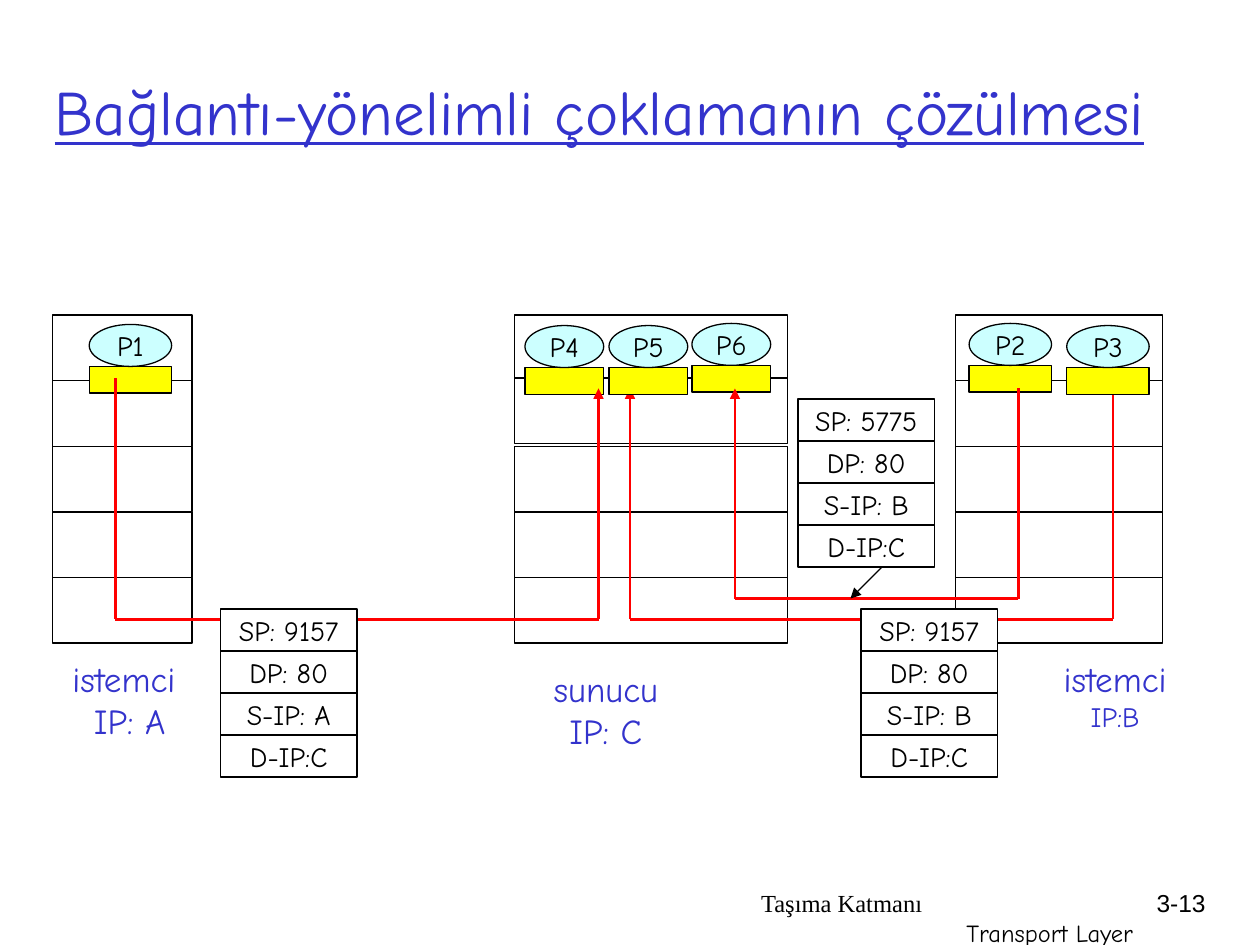
from itertools import pairwise

from pptx import Presentation
from pptx import util as u
from pptx.dml.color import RGBColor
from pptx.enum import shapes, text
from pptx.oxml import parse_xml
from pptx.oxml.ns import nsdecls

COLORS = {"ink": "000000", "title": "3333CC", "paper": "FFFFFF",
          "socket": "FFFF00", "process": "CCFFFF", "flow": "FF0000"}
BODY_FONT = "Comic Neue"
COLUMNS, ROWS = 120, 90
LAYER_ROWS, CELL_ROWS, CELL_COLUMNS = 6.25, 4, 13
LABEL_COLUMNS, LABEL_ROWS = 15, 9.2
ALIGN = text.PP_ALIGN
SHAPE = shapes.MSO_SHAPE


def grid(cells):
    """Convert grid cells, twelve to the inch, to a length."""
    return u.Inches(cells / 12)


def rgb(name):
    """Return a palette colour."""
    return RGBColor.from_string(COLORS[name])


def write(paragraph, words, size, color="ink", font=BODY_FONT, align=ALIGN.CENTER):
    """Add one formatted run to a paragraph."""
    paragraph.alignment = align
    run = paragraph.add_run()
    run.text = words
    run.font.size = u.Pt(size)
    run.font.name = font
    run.font.color.rgb = rgb(color)
    return run


def add_box(slide, kind, box, fill, words=None):
    """Add a thinly outlined shape with an optional centred label."""
    shape = slide.shapes.add_shape(kind, *map(grid, box))
    shape.shadow.inherit = False
    shape.fill.solid()
    shape.fill.fore_color.rgb = rgb(fill)
    shape.line.color.rgb = rgb("ink")
    shape.line.width = u.Pt(0.75)
    if words:
        frame = shape.text_frame
        frame.word_wrap = False
        frame.vertical_anchor = text.MSO_ANCHOR.MIDDLE
        write(frame.paragraphs[0], words, 16)


def add_text(slide, box, lines):
    """Add a text box whose lines are keyword sets for write."""
    frame = slide.shapes.add_textbox(*map(grid, box)).text_frame
    frame.word_wrap = True
    for index, line in enumerate(lines):
        paragraph = frame.add_paragraph() if index else frame.paragraphs[0]
        write(paragraph, **line)


def add_line(slide, start, end, color, width, arrow=False):
    """Draw a straight line, with an arrowhead at its end if asked."""
    line = slide.shapes.add_connector(
        shapes.MSO_CONNECTOR.STRAIGHT, *map(grid, (*start, *end)))
    line.line.color.rgb = rgb(color)
    line.line.width = u.Pt(width)
    if arrow:
        line.line._get_or_add_ln().append(
            parse_xml(f'<a:tailEnd {nsdecls("a")} type="triangle"/>'))
    line._element.spPr.append(parse_xml(f'<a:effectLst {nsdecls("a")}/>'))


def add_title(slide, box, words):
    """Place and format the title placeholder."""
    title = slide.shapes.title
    title.left, title.top, title.width, title.height = map(grid, box)
    title.text_frame.word_wrap = True
    title.text_frame.vertical_anchor = text.MSO_ANCHOR.MIDDLE
    run = write(title.text_frame.paragraphs[0], words, 36, "title", align=ALIGN.LEFT)
    run.font.underline = True


def add_host(slide, left, top, width, layer_tops=(0, 1, 2, 3, 4)):
    """Stack the five protocol layers of a host."""
    for layer in layer_tops:
        add_box(slide, SHAPE.RECTANGLE,
                (left, top + layer * LAYER_ROWS, width, LAYER_ROWS), "paper")


def add_host_label(slide, center, top, role, address, address_size=20):
    """Name a host and its address around a centre column."""
    add_text(slide, (center - LABEL_COLUMNS / 2, top, LABEL_COLUMNS, LABEL_ROWS),
             [dict(words=role, size=20, color="title"),
              dict(words=address, size=address_size, color="title")])


def add_process(slide, left, top, width, name):
    """Draw a process with its socket below."""
    add_box(slide, SHAPE.RECTANGLE, (left, top + 4, width, 2.55), "socket")
    add_box(slide, SHAPE.OVAL, (left, top, width, 4), "process", name)


def add_flow(slide, client, server, depth, top=36):
    """Route a connection down from a client, across and up to the server."""
    corners = [(client, top), (client, depth), (server, depth), (server, 37)]
    for start, end in pairwise(corners):
        add_line(slide, start, end, "flow", 1.5, arrow=end == corners[-1])


def add_packet(slide, left, top, fields):
    """Stack the header fields of a packet."""
    for index, field in enumerate(fields):
        add_box(slide, SHAPE.RECTANGLE,
                (left, top + index * CELL_ROWS, CELL_COLUMNS, CELL_ROWS),
                "paper", field)


def add_footer(slide, top):
    """Add the chapter name and the page number."""
    add_text(slide, (71.3, top, 37.8, 6),
             [dict(words="Taşıma Katmanı", size=14, font="Times New Roman",
                   align=ALIGN.LEFT),
              dict(words="Transport Layer", size=14, align=ALIGN.RIGHT)])
    add_text(slide, (107.2, top, 8.8, 6),
             [dict(words="3-13", size=14, font="Arial", align=ALIGN.RIGHT)])


def add_diagram(slide, top):
    """Draw the hosts, their processes, the connections and the packets."""
    add_host(slide, 5, top, 13.3)
    add_host(slide, 91, top, 19.7)
    add_host(slide, 49, top, 26, (0, 0.96, 2, 3, 4))
    add_host_label(slide, 11.8, top + 32, "istemci", " IP: A")
    add_host_label(slide, 57.7, top + 33, "sunucu", "IP: C")
    add_host_label(slide, 106.2, top + 32, "istemci", "IP:B", 16)

    for left, drop, width, name in ((8.5, 0.9, 7.85, "P1"), (92.3, 0.8, 7.85, "P2"),
                                    (50, 1, 7.5, "P4")):
        add_process(slide, left, top + drop, width, name)
    add_flow(slide, 11, 57, 59)
    add_flow(slide, 106, 60, 59)
    for left, drop, width, name in ((58, 1, 7.5, "P5"), (65.9, 0.8, 7.5, "P6"),
                                    (101.6, 1, 7.85, "P3")):
        add_process(slide, left, top + drop, width, name)
    add_flow(slide, 97, 70, 57, top=37)

    for left, drop, port, source in ((21, 28, 9157, "A"), (82, 28, 9157, "B"),
                                     (76, 8, 5775, "B")):
        add_packet(slide, left, top + drop,
                   (f"SP: {port}", "DP: 80", f"S-IP: {source}", "D-IP:C"))
    add_line(slide, (84, top + 24), (81, top + 27), "ink", 0.75, arrow=True)


def main():
    """Build the slide and save it."""
    deck = Presentation()
    deck.slide_width, deck.slide_height = grid(COLUMNS), grid(ROWS)
    slide = deck.slides.add_slide(deck.slide_layouts[5])
    add_footer(slide, 84)
    add_title(slide, (4, 3, 115, 15), "Bağlantı-yönelimli çoklamanın çözülmesi")
    add_diagram(slide, 30)
    deck.save("out.pptx")


if __name__ == "__main__":
    main()
